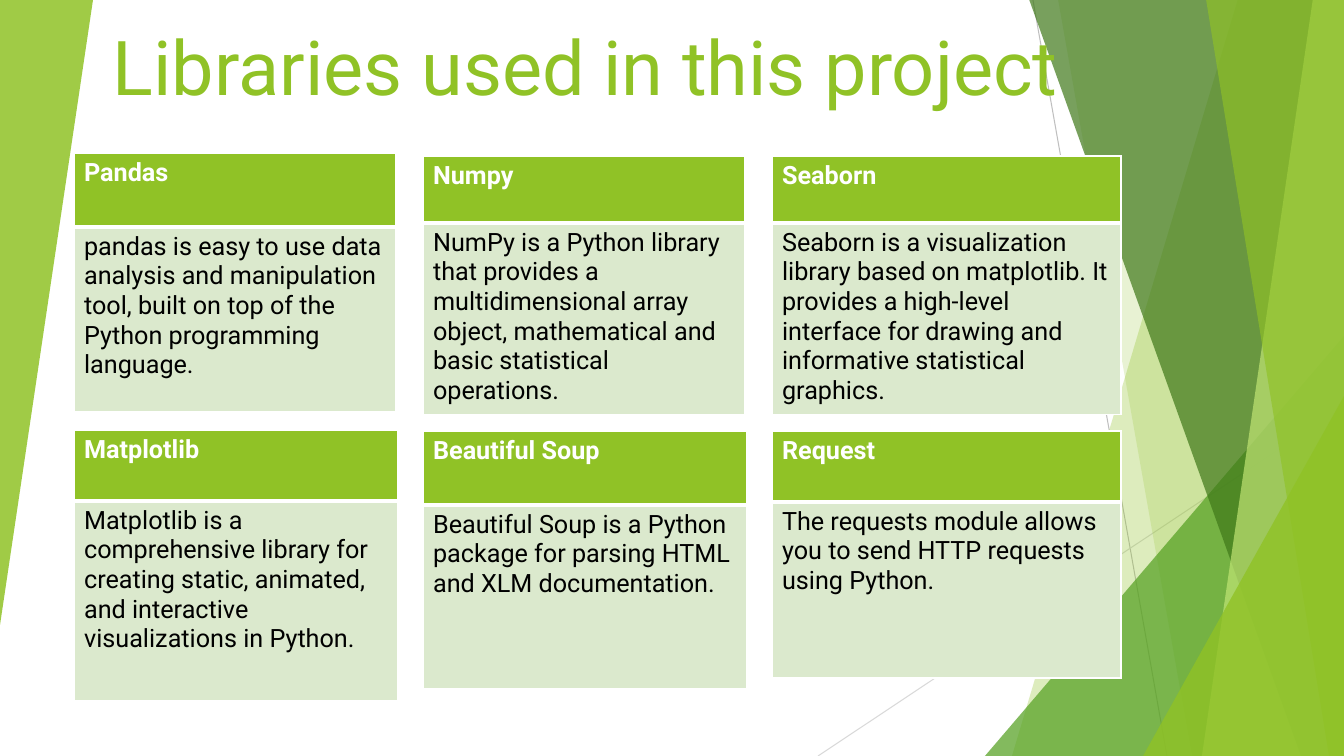
from dataclasses import dataclass

from pptx import Presentation
from pptx import util as u
from pptx.dml.color import RGBColor
from pptx.enum import shapes, text
from pptx.oxml import parse_xml
from pptx.oxml.ns import nsdecls, qn
from pptx.oxml.xmlchemy import OxmlElement

WIDTH, HEIGHT = 1344, 756


def px(n):
    return u.Emu(round(n * 12192000 / WIDTH))


@dataclass(frozen=True)
class Theme:
    font: str = "Roboto"
    title_size: int = 54
    body_size: int = 18
    green: str = "90C226"
    leaf: str = "54A021"
    forest: str = "3F7819"
    lime: str = "C0E474"
    pale: str = "DBE9CD"
    white: str = "FFFFFF"
    black: str = "000000"
    gray: str = "BFBFBF"
    light_gray: str = "D9D9D9"


class Deck:
    def __init__(self, theme):
        self.theme = theme
        self.prs = Presentation()
        self.prs.slide_width, self.prs.slide_height = px(WIDTH), px(HEIGHT)
        self.slide = self.prs.slides.add_slide(self.prs.slide_layouts[6])

    def paint(self, shape, color, opacity):
        shape.shadow.inherit = False
        shape.line.fill.background()
        shape.fill.solid()
        shape.fill.fore_color.rgb = RGBColor.from_string(color)
        alpha = OxmlElement("a:alpha")
        alpha.set("val", str(opacity * 1000))
        shape.element.spPr.find(qn("a:solidFill"))[0].append(alpha)

    def line(self, start, end, color):
        line = self.slide.shapes.add_connector(
            shapes.MSO_CONNECTOR.STRAIGHT, *map(px, start + end))
        line.line.color.rgb = RGBColor.from_string(color)
        line.line.width = u.Pt(0.75)
        line.element.spPr.append(OxmlElement("a:effectLst"))

    def band(self, top_x, bottom_x, color, opacity):
        """Fill from a slanted left edge to the right side of the slide."""
        builder = self.slide.shapes.build_freeform(px(top_x), px(-1))
        builder.add_line_segments([
            (px(WIDTH), px(-1)), (px(WIDTH), px(HEIGHT)), (px(bottom_x), px(HEIGHT))])
        self.paint(builder.convert_to_shape(), color, opacity)

    def wedge(self, left, top, width, height, color, opacity, rotation=0):
        """Right triangle whose tip is above its right end."""
        wedge = self.slide.shapes.add_shape(
            shapes.MSO_SHAPE.ISOSCELES_TRIANGLE, *map(px, (left, top, width, height)))
        wedge.adjustments[0] = 1
        wedge.rotation = rotation
        self.paint(wedge, color, opacity)

    def style(self, paragraph, size, color, bold=False):
        font = paragraph.font
        font.name, font.size, font.bold = self.theme.font, u.Pt(size), bold
        font.color.rgb = RGBColor.from_string(color)

    def title(self, wording, left, top, width, height):
        box = self.slide.shapes.add_textbox(*map(px, (left, top, width, height)))
        frame = box.text_frame
        frame.word_wrap = True
        frame.vertical_anchor = text.MSO_ANCHOR.BOTTOM
        paragraph = frame.paragraphs[0]
        paragraph.text = wording
        paragraph.alignment = text.PP_ALIGN.RIGHT
        self.style(paragraph, self.theme.title_size, self.theme.green)

    def cell(self, cell, wording, fill, color, bold, thick_side):
        cell.text = wording
        self.style(cell.text_frame.paragraphs[0], self.theme.body_size, color, bold)
        properties = cell._tc.get_or_add_tcPr()
        for side in "LRTB":
            width = u.Pt(3 if side == thick_side else 1)
            properties.append(parse_xml(
                f'<a:ln{side} {nsdecls("a")} w="{width}"><a:solidFill>'
                f'<a:srgbClr val="{self.theme.white}"/></a:solidFill></a:ln{side}>'))
        cell.fill.solid()
        cell.fill.fore_color.rgb = RGBColor.from_string(fill)

    def card(self, left, top, width, head_height, body_height, library, description):
        theme = self.theme
        table = self.slide.shapes.add_table(
            2, 1, *map(px, (left, top, width, head_height + body_height))).table
        for row, height in zip(table.rows, (head_height, body_height)):
            row.height = px(height)
        self.cell(table.cell(0, 0), library, theme.green, theme.white, True, "B")
        self.cell(table.cell(1, 0), description, theme.pale, theme.black, False, "T")


LEFT, MIDDLE, RIGHT = 74, 423, 772
LIBRARIES = [
    (LEFT, 153, 322, 74, 185, "Pandas",
     "pandas is easy to use data analysis and manipulation tool, built on top of "
     "the Python programming language."),
    (LEFT, 430, 324, 71, 200, "Matplotlib",
     "Matplotlib is a comprehensive library for creating static, animated, and "
     "interactive visualizations in Python."),
    (MIDDLE, 431, 324, 74, 184, "Beautiful Soup",
     "Beautiful Soup is a Python package for parsing HTML and XLM documentation."),
    (RIGHT, 431, 349, 71, 176, "Request",
     "The requests module allows you to send HTTP requests using Python."),
    (MIDDLE, 156, 322, 67, 190, "Numpy",
     "NumPy is a Python library that provides a multidimensional array object, "
     "mathematical and basic statistical operations."),
    (RIGHT, 156, 349, 67, 190, "Seaborn",
     "Seaborn is a visualization library based on matplotlib. It provides a "
     "high-level interface for drawing and informative statistical graphics."),
]


def main():
    theme = Theme()
    deck = Deck(theme)
    deck.line((1033, 0), (1167, HEIGHT), theme.gray)
    deck.line((WIDTH, 406), (818, HEIGHT), theme.light_gray)
    deck.band(1238, 1012, theme.green, 30)
    deck.band(1058, 1192, theme.green, 20)
    deck.wedge(985, 336, 359, 420, theme.leaf, 72)
    deck.band(1029, 1301, theme.forest, 70)
    deck.band(1313, 1202, theme.lime, 70)
    deck.band(1206, 1329, theme.green, 65)
    deck.wedge(1143, 396, 201, 360, theme.green, 80)
    deck.wedge(0, 0, 93, 625, theme.green, 85, rotation=180)
    deck.title("Libraries used in this project", 55, 0, 1013, 116)
    for library in LIBRARIES:
        deck.card(*library)
    deck.prs.save("out.pptx")


if __name__ == "__main__":
    main()
